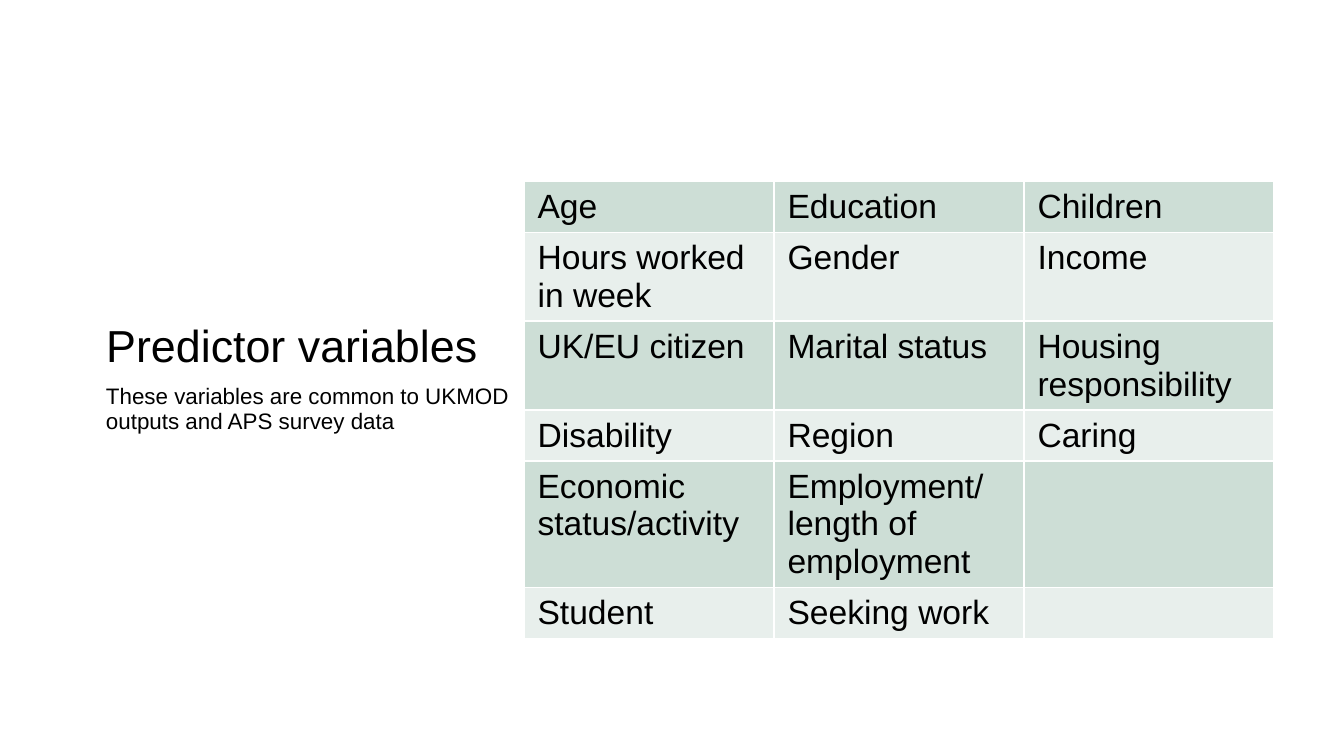
"""Build the slide on predictor variables."""
from typing import NamedTuple

from lxml import etree
from pptx import Presentation, util as u
from pptx.dml.color import RGBColor
from pptx.enum import text as t
from pptx.oxml import ns

BLACK = RGBColor(0x00, 0x00, 0x00)
WHITE = RGBColor(0xFF, 0xFF, 0xFF)
BANDS = (RGBColor(0xCD, 0xDE, 0xD6), RGBColor(0xE8, 0xEF, 0xEC))
FONT = "Arial"
WIDE = u.Inches(10)
LINE = 0.28
PAD = 0.1


class Row(NamedTuple):
    lines: int
    words: tuple[str, str, str]


class Block(NamedTuple):
    words: str
    top: float
    high: float
    size: int
    anchor: t.MSO_ANCHOR
    before: float


ROWS = (
    Row(1, ("Age", "Education", "Children")),
    Row(2, ("Hours worked in week", "Gender", "Income")),
    Row(2, ("UK/EU citizen", "Marital status", "Housing responsibility")),
    Row(1, ("Disability", "Region", "Caring")),
    Row(3, ("Economic status/activity", "Employment/length of employment", "")),
    Row(1, ("Student", "Seeking work", "")),
)
TITLE = Block("Predictor variables", 1.51, 1.31, 24, t.MSO_ANCHOR.BOTTOM, 0)
NOTE = Block(
    "These variables are common to UKMOD outputs and APS survey data",
    2.82, 3.13, 12, t.MSO_ANCHOR.TOP, 7.5,
)


def style(para, size: int) -> None:
    """Set the font of a paragraph and its runs."""
    for font in (para.font, *(run.font for run in para.runs)):
        font.name, font.size = FONT, u.Pt(size)
        font.color.rgb = BLACK


def write(shape, block: Block) -> None:
    """Place a shape and fill it with the text of a block."""
    shape.left, shape.width = u.Inches(0.69), u.Inches(3.23)
    shape.top, shape.height = u.Inches(block.top), u.Inches(block.high)
    frame = shape.text_frame
    frame.text = block.words
    frame.word_wrap = True
    frame.auto_size = t.MSO_AUTO_SIZE.NONE
    frame.vertical_anchor = block.anchor
    para = frame.paragraphs[0]
    para.alignment = t.PP_ALIGN.LEFT
    para.line_spacing = 0.9
    para.space_before = u.Pt(block.before)
    style(para, block.size)


def edge(cell) -> None:
    """Draw a thin white border on each side of a cell."""
    props = cell._tc.get_or_add_tcPr()
    for side in ("lnL", "lnR", "lnT", "lnB"):
        line = etree.SubElement(props, ns.qn(f"a:{side}"), w=str(u.Pt(1)))
        fill = etree.SubElement(line, ns.qn("a:solidFill"))
        etree.SubElement(fill, ns.qn("a:srgbClr"), val=str(WHITE))


def grid(slide, rows: tuple[Row, ...]) -> None:
    """Add the banded table of variables."""
    highs = [u.Inches(PAD + LINE * row.lines) for row in rows]
    table = slide.shapes.add_table(
        len(rows), 3, u.Inches(3.9), u.Inches(1.35), u.Inches(5.58), sum(highs)
    ).table
    table.first_row = False
    for i, row in enumerate(rows):
        table.rows[i].height = highs[i]
        for cell, words in zip(table.rows[i].cells, row.words):
            edge(cell)
            cell.fill.solid()
            cell.fill.fore_color.rgb = BANDS[i % 2]
            cell.text_frame.text = words
            style(cell.text_frame.paragraphs[0], 18)


def main() -> None:
    """Build and save the deck."""
    deck = Presentation()
    deck.slide_width, deck.slide_height = WIDE, WIDE * 9 // 16
    slide = deck.slides.add_slide(deck.slide_layouts.get_by_name("Title Only"))
    write(slide.shapes.title, TITLE)
    grid(slide, ROWS)
    write(slide.shapes.add_textbox(0, 0, 0, 0), NOTE)
    deck.save("out.pptx")


if __name__ == "__main__":
    main()
